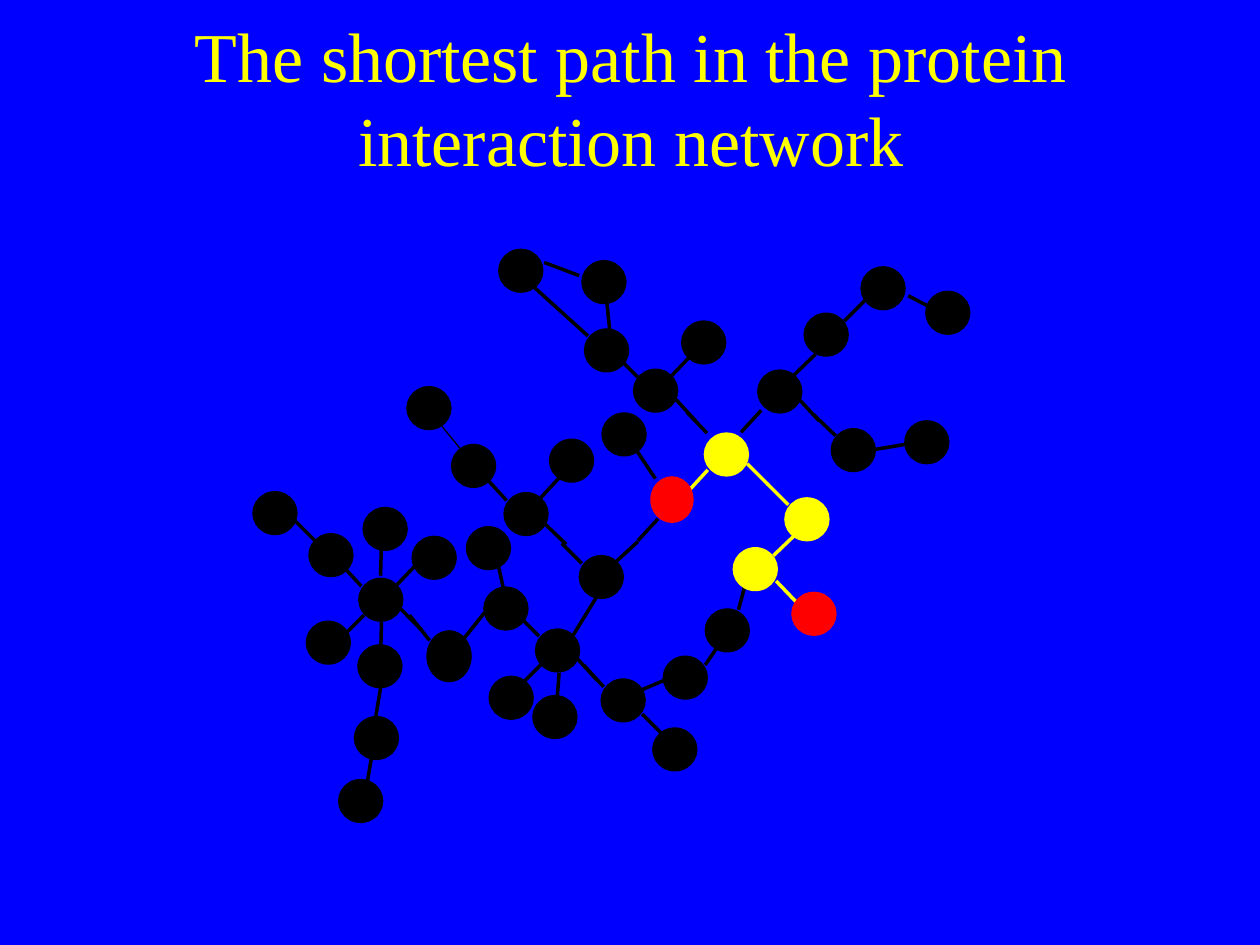
from pptx import Presentation
from pptx.dml.color import RGBColor
from pptx.enum.shapes import MSO_CONNECTOR, MSO_SHAPE
from pptx.enum.text import MSO_ANCHOR, PP_ALIGN
from pptx.oxml.ns import qn
from pptx.util import Pt
from lxml import etree

OVAL = MSO_SHAPE.OVAL
STRAIGHT = MSO_CONNECTOR.STRAIGHT
MIDDLE = MSO_ANCHOR.MIDDLE
CENTER = PP_ALIGN.CENTER

BLUE, YELLOW, BLACK, RED = "0000FF", "FFFF00", "000000", "FF0000"
NODE_SIZE = (25.2, 24.5)
TALL_NODE_SIZE = (25.2, 29)
EDGE_WIDTH, THIN_EDGE_WIDTH = 2, 0.75

# Left and top of each protein
PROTEINS = [
    (276.5, 335.5), (331, 317.5), (362, 211), (433, 211.5), (205, 330.5),
    (379, 375), (459.5, 179), (475, 245), (343.5, 388), (306, 359.5),
    (288, 281.5), (492, 152.5), (207.5, 290), (334, 188), (258, 254),
    (314, 251), (304.5, 397.5), (175, 355), (389.5, 183.5), (176.5, 305),
    (204.5, 368.5), (235.5, 306.5), (279.5, 386.5), (144.5, 281), (529, 166.5),
    (517, 240.5), (403, 348), (373, 416), (344, 236), (266.5, 301),
    (285, 142.5), (332.5, 149), (202.5, 409.5), (193.5, 445.5), (232.5, 221),
]
PATH_PROTEINS = [(448.5, 284.5), (419, 313), (402.5, 247.5)]

# Start x, start y, end x, end y of each interaction
INTERACTIONS = [
    (332.5, 322, 321, 310.5), (364.5, 309.5, 352, 321), (364.5, 215.5, 352, 203),
    (397.5, 240.5, 386, 228), (395.5, 202.5, 384, 214.5), (468, 240.5, 456.5, 228),
    (466, 202.5, 453.5, 214.5), (206.5, 335, 195, 322.5), (208, 351.5, 196, 363.5),
    (241, 360, 229, 348), (238.5, 322, 227, 334), (217.5, 376, 218, 355.5),
    (217.5, 329, 218, 309), (386, 386, 366, 394.5), (482.5, 183.5, 494.5, 171.5),
    (477.5, 249, 465, 237), (345, 392.5, 333.5, 380), (308, 363.5, 296, 351.5),
    (309, 380, 296.5, 392.5), (341.5, 389, 330, 376.5), (343.5, 337, 327.5, 363),
    (318, 404.5, 319.5, 384.5), (245.5, 366, 234, 351.5), (277, 350, 265, 365),
    (404, 247.5, 392.5, 235.5), (435, 234.5, 423.5, 247), (376, 296.5, 364.5, 309),
    (289.5, 286, 278, 273.5), (323.5, 311, 311, 299), (320.5, 272, 309, 284.5),
    (363.5, 257, 374.5, 273.5), (168.5, 297.5, 180.5, 309.5), (519, 169, 540, 180),
    (499, 257, 532, 251.5), (403, 380, 413.5, 364.5), (426, 333.5, 422, 348.5),
    (367, 408, 379.5, 420.5), (283.5, 317.5, 287.5, 335.5), (346.5, 170, 348.5, 189.5),
    (304.5, 163.5, 336, 192), (311, 150, 331, 157.5), (217.5, 393, 214.5, 411),
    (212.5, 431.5, 209.5, 449.5),
]
THIN_INTERACTIONS = [(252.5, 243.5, 263.5, 257)]
PATH_INTERACTIONS = [
    (450.5, 288.5, 438.5, 276.5), (442, 317.5, 454.5, 305.5), (404.5, 268.5, 393, 281),
    (439, 277, 427, 265), (455, 344, 443.5, 332),
]


def color(hex_value):
    return RGBColor.from_string(hex_value)


def add_title(slide, text):
    box = slide.shapes.add_textbox(Pt(53.5), Pt(18.5), Pt(614), Pt(73.5))
    frame = box.text_frame
    frame.word_wrap = True
    frame.vertical_anchor = MIDDLE
    paragraph = frame.paragraphs[0]
    paragraph.text = text
    paragraph.alignment = CENTER
    font_format = {"name": "Times New Roman", "size": Pt(40)}
    for name, value in font_format.items():
        setattr(paragraph.font, name, value)
    paragraph.font.color.rgb = color(YELLOW)


def add_node(slide, position, fill, size=NODE_SIZE):
    shape = slide.shapes.add_shape(OVAL, *map(Pt, position + size))
    shape.shadow.inherit = False
    shape.fill.solid()
    shape.fill.fore_color.rgb = color(fill)
    shape.line.color.rgb = color(fill)
    shape.line.width = Pt(0.75)
    return shape


def add_edges(slide, edges, stroke, width=EDGE_WIDTH):
    for edge in edges:
        connector = slide.shapes.add_connector(STRAIGHT, *map(Pt, edge))
        connector.line.color.rgb = color(stroke)
        connector.line.width = Pt(width)
        properties = connector._element.spPr
        etree.SubElement(properties, qn("a:effectLst"))


def add_network(slide, proteins, interactions, fill):
    add_edges(slide, interactions, fill)
    for position in proteins:
        add_node(slide, position, fill)


def main():
    presentation = Presentation()
    presentation.slide_width, presentation.slide_height = Pt(720), Pt(540)
    slide = presentation.slides.add_slide(presentation.slide_layouts[6])
    slide.background.fill.solid()
    slide.background.fill.fore_color.rgb = color(BLUE)

    add_title(slide, "The shortest path in the protein interaction network")
    add_network(slide, PROTEINS, INTERACTIONS, BLACK)
    add_node(slide, (244, 360.5), BLACK, TALL_NODE_SIZE)
    add_edges(slide, THIN_INTERACTIONS, BLACK, THIN_EDGE_WIDTH)
    add_network(slide, PATH_PROTEINS, PATH_INTERACTIONS, YELLOW)
    add_node(slide, (452.5, 338.5), RED)
    add_node(slide, (371, 273.5), RED, (26, 24)).rotation = 270

    presentation.save("out.pptx")


if __name__ == "__main__":
    main()
